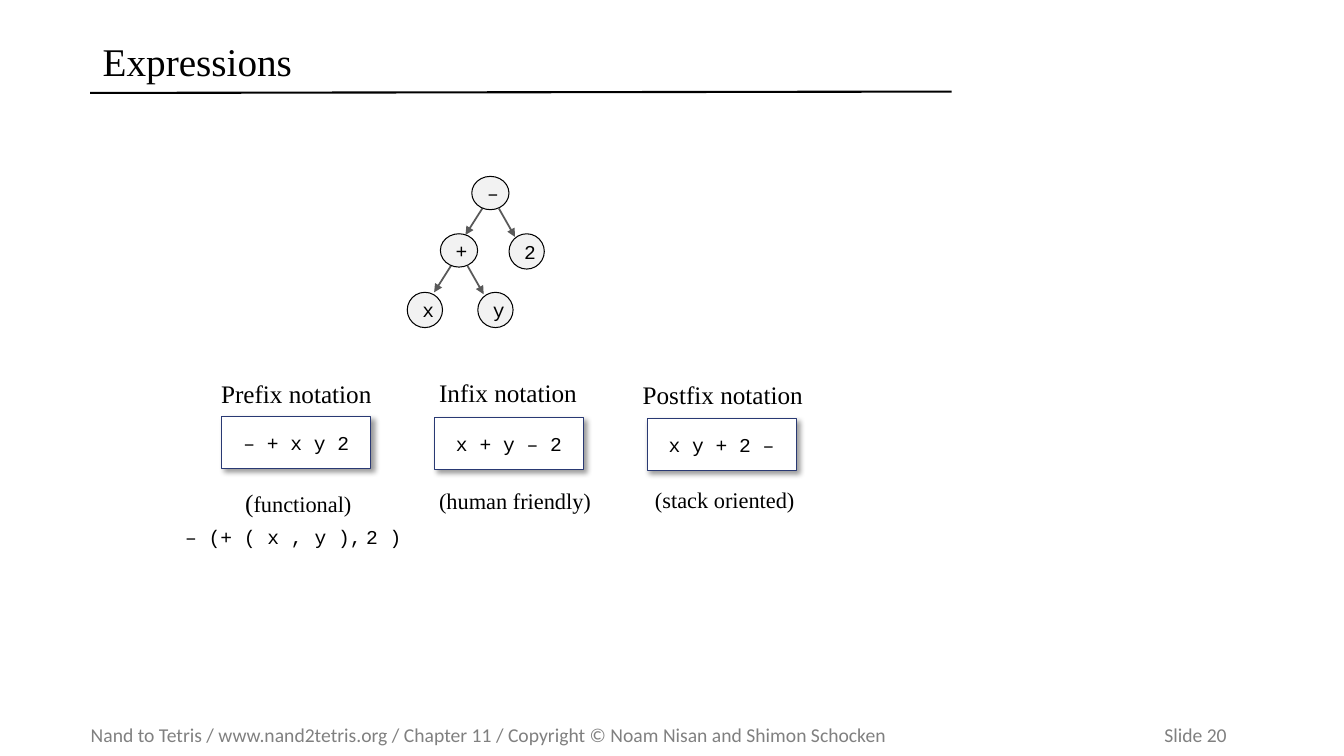
from lxml import etree
from pptx import Presentation
from pptx.dml.color import RGBColor
from pptx.enum import shapes, text
from pptx.oxml import ns
from pptx.util import Pt

COLORS = {"ink": "000000", "paper": "FFFFFF", "frame": "293973",
          "node": "F2F2F2", "edge": "595959", "footer": "808080"}
SERIF, MONO = "Times New Roman", "Courier New"


def write(shape, runs, color="ink", align=text.PP_ALIGN.CENTER,
          anchor=text.MSO_ANCHOR.MIDDLE, spacing=1.0, inset=None):
    frame = shape.text_frame
    frame.word_wrap = True
    frame.auto_size = text.MSO_AUTO_SIZE.NONE
    frame.vertical_anchor = anchor
    if inset is not None:
        frame.margin_left = frame.margin_right = Pt(inset)
        frame.margin_top = frame.margin_bottom = Pt(inset)
    paragraph = frame.paragraphs[0]
    paragraph.alignment = align
    paragraph.line_spacing = spacing
    for words, size, font in runs:
        run = paragraph.add_run()
        run.text = words
        run.font.size = Pt(size)
        run.font.name = font
        run.font.color.rgb = RGBColor.from_string(COLORS[color])
    return paragraph


def add_line(start_x, start_y, end_x, end_y, color, width):
    line = slide.shapes.add_connector(shapes.MSO_CONNECTOR.STRAIGHT,
                                      Pt(start_x), Pt(start_y), Pt(end_x), Pt(end_y))
    line.line.color.rgb = RGBColor.from_string(COLORS[color])
    line.line.width = Pt(width)
    etree.SubElement(line._element.spPr, ns.qn("a:effectLst"))
    return line


presentation = Presentation()
presentation.slide_width, presentation.slide_height = Pt(960), Pt(540)
slide = presentation.slides.add_slide(presentation.slide_layouts[5])

footer = slide.shapes.add_textbox(Pt(64.8), Pt(512.6), Pt(882), Pt(24.5))
paragraph = write(footer, [], align=text.PP_ALIGN.LEFT, inset=0)
tabs = etree.SubElement(paragraph._p.get_or_add_pPr(), ns.qn("a:tabLst"))
etree.SubElement(tabs, ns.qn("a:tab"), pos=str(Pt(811.5)), algn="r")
footer_text = ("Nand to Tetris / www.nand2tetris.org / Chapter 11 / "
               "Copyright © Noam Nisan and Shimon Schocken\tSlide 20")
run = paragraph.add_run()
run.text = footer_text
run.font.size = Pt(14)
run.font.name = "Calibri"
run.font.color.rgb = RGBColor.from_string(COLORS["footer"])

add_line(64.3, 66.4, 679.7, 65.4, "ink", 1.5)

title = slide.shapes.title
title.left, title.top, title.width, title.height = Pt(66.2), Pt(23), Pt(614.2), Pt(45.4)
write(title, [("Expressions", 28, SERIF)], align=text.PP_ALIGN.LEFT, spacing=0.9)

notations = [
    ("Prefix notation", 138.2, 266.4, "– + x y 2"),
    ("Infix notation", 289.4, 265.7, "x + y – 2"),
    ("Postfix notation", 442.8, 267.1, "x y + 2 –"),
]
for column, (name, left, top, expression) in enumerate(notations):
    heading = slide.shapes.add_textbox(Pt(left), Pt(top), Pt(147), Pt(29))
    write(heading, [(name, 18, SERIF)], anchor=text.MSO_ANCHOR.TOP)

    box = slide.shapes.add_shape(shapes.MSO_SHAPE.RECTANGLE,
                                 Pt(158.4 + 151.9 * column), Pt(297.4 + 0.7 * column),
                                 Pt(106.6), Pt(37.4))
    box.fill.solid()
    box.fill.fore_color.rgb = RGBColor.from_string(COLORS["paper"])
    box.line.color.rgb = RGBColor.from_string(COLORS["frame"])
    box.line.width = Pt(0.75)
    box.shadow.inherit = False
    effects = box._element.spPr.find(ns.qn("a:effectLst"))
    shadow = etree.SubElement(effects, ns.qn("a:outerShdw"), blurRad=str(Pt(4)),
                              dist=str(Pt(3)), dir="2700000", algn="tl", rotWithShape="0")
    shade = etree.SubElement(shadow, ns.qn("a:srgbClr"), val=COLORS["ink"])
    etree.SubElement(shade, ns.qn("a:alpha"), val="40000")
    write(box, [(expression, 14, MONO)], inset=0)

captions = [
    (126, 338.4, [("(", 18, SERIF), ("functional)", 16, SERIF)]),
    (280.8, 336.6, [("(human friendly)", 16, SERIF)]),
    (430.6, 336.2, [("(stack oriented)", 16, SERIF)]),
    (122.4, 362.2, [("– (+ ( x , y ),", 14, MONO), (" ", 12, SERIF), ("2 )", 14, MONO)]),
]
for left, top, runs in captions:
    caption = slide.shapes.add_textbox(Pt(left), Pt(top), Pt(174.2), Pt(48.2))
    write(caption, runs, spacing=0.5, inset=0)

for parent_left, parent_top in [(337, 126), (314.6, 167)]:
    for start_x, start_y, run_x, run_y in [(8.8, 20.9, -13.3, 20.9), (19.4, 23, 11.5, 20.2)]:
        x, y = parent_left + start_x, parent_top + start_y
        arrow = add_line(x, y, x + run_x, y + run_y, "edge", 1.25)
        etree.SubElement(arrow.line._get_or_add_ln(), ns.qn("a:tailEnd"), type="triangle")

nodes = [
    ("–", 337, 126, 26.6, 23.8),
    ("+", 314.6, 167, 26.6, 23.8),
    ("2", 363.6, 167, 25.2, 25.2),
    ("x", 290.9, 208.8, 25.2, 25.2),
    ("y", 341.3, 208.8, 25.2, 25.2),
]
for symbol, left, top, width, height in nodes:
    node = slide.shapes.add_shape(shapes.MSO_SHAPE.OVAL, Pt(left), Pt(top), Pt(width), Pt(height))
    node.fill.solid()
    node.fill.fore_color.rgb = RGBColor.from_string(COLORS["node"])
    node.line.color.rgb = RGBColor.from_string(COLORS["ink"])
    node.line.width = Pt(0.75)
    node.shadow.inherit = False
    write(node, [(symbol, 14, MONO)])

presentation.save("out.pptx")
